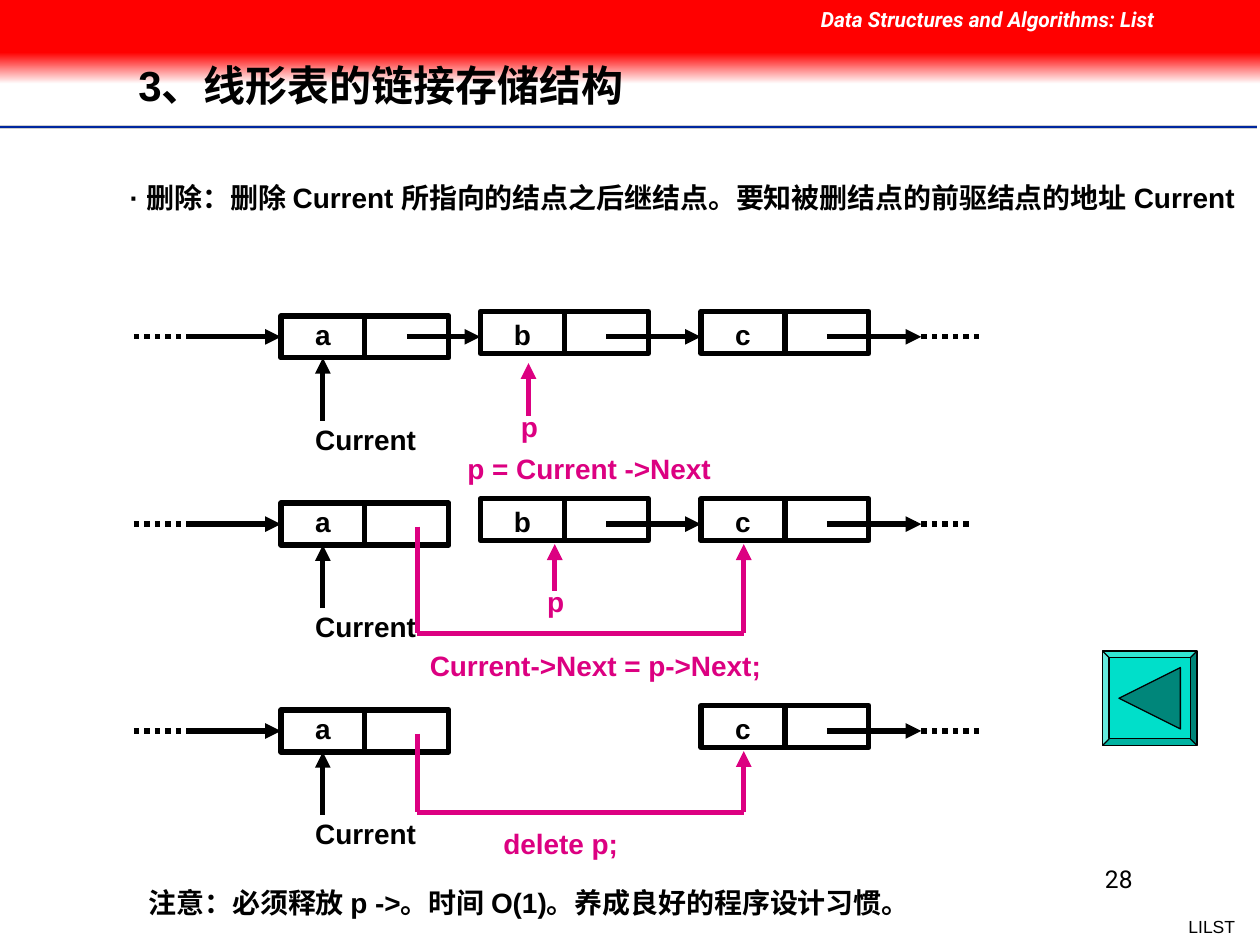
from pptx import Presentation
from pptx.dml.color import RGBColor as Rgb
from pptx.enum.dml import MSO_LINE as Dash
from pptx.enum.shapes import MSO_CONNECTOR as Conn, MSO_SHAPE as Geo
from pptx.enum.text import MSO_ANCHOR as Anchor, PP_ALIGN as Align
from pptx.oxml.ns import qn
from pptx.util import Pt
from lxml.etree import SubElement as Sub

HUES = {
    "black": "000000", "white": "FFFFFF", "red": "FF0000", "blue": "00279F",
    "gray": "CECECE", "pink": "DC0081", "teal": "00DFCA", "deep": "00867A",
}
NODE_W, NODE_H, CELL = 96, 24, 48
NODES = {"a": (84, 2.5), "b": (198, 0), "c": (324, 0)}
MID = 14.5


def hue(name):
    return Rgb.from_string(HUES[name])


def text(slide, words, x, y, w, h=26.6, size=16, color="black", font="Arial",
         bold=True, slant=False, align=Align.LEFT, anchor=Anchor.TOP,
         wrap=True, indent=0, margin=0, pitch=None):
    frame = slide.shapes.add_textbox(Pt(x), Pt(y), Pt(w), Pt(h)).text_frame
    frame.word_wrap = wrap
    frame.vertical_anchor = anchor
    para = frame.paragraphs[0]
    para.alignment = align
    para.line_spacing = pitch
    if indent or margin:
        props = para._p.get_or_add_pPr()
        props.set("marL", str(Pt(margin)))
        props.set("indent", str(Pt(indent)))
    run = para.add_run()
    run.text = words
    face = run.font
    face.name, face.size, face.bold, face.italic = font, Pt(size), bold, slant
    face.color.rgb = hue(color)


def line(slide, x1, y1, x2, y2, color="black", width=3, tip=False, dots=False):
    link = slide.shapes.add_connector(Conn.STRAIGHT, Pt(x1), Pt(y1), Pt(x2), Pt(y2))
    link.line.color.rgb = hue(color)
    link.line.width = Pt(width)
    if dots:
        link.line.dash_style = Dash.ROUND_DOT
    if tip:
        Sub(link.line._get_or_add_ln(), qn("a:tailEnd"), type="triangle")
    Sub(link._element.spPr, qn("a:effectLst"))
    return link


def block(slide, geo, x, y, w, h, fill, edge=None, width=3):
    item = slide.shapes.add_shape(geo, Pt(x), Pt(y), Pt(w), Pt(h))
    item.shadow.inherit = False
    item.fill.solid()
    item.fill.fore_color.rgb = hue(fill)
    if edge:
        item.line.color.rgb = hue(edge)
        item.line.width = Pt(width)
    else:
        item.line.fill.background()
    return item


def header(slide, x, y, w):
    for drop, color, width in ((72.7, "gray", 2), (72.7, "blue", 1), (74.2, "white", 1)):
        line(slide, x, y + drop, x + w - 1.5, y + drop, color, width)
    fade = block(slide, Geo.RECTANGLE, x, y + 30, w, 18, "red").fill
    fade.gradient()
    fade.gradient_angle = 270
    for stop, color in zip(fade.gradient_stops, ("red", "white")):
        stop.color.rgb = hue(color)
    block(slide, Geo.RECTANGLE, x, y, w, 30, "red")
    text(slide, "Data Structures and Algorithms: List", x + 462, y, 258, 21.6,
         size=12, color="white", font="Roboto", slant=True)
    text(slide, "3、线形表的链接存储结构", x + 72, y + 24, 544, 53,
         size=24, anchor=Anchor.MIDDLE, pitch=0.9)


def node(slide, name, x, y):
    left, drop = NODES[name]
    box = block(slide, Geo.RECTANGLE, x + left, y + drop, NODE_W, NODE_H, "white", "black")
    split = line(slide, x + left + CELL, y + drop, x + left + CELL, y + drop + NODE_H)
    split.begin_connect(box, 0)
    split.end_connect(box, 2)
    text(slide, name, x + left, y, CELL, align=Align.CENTER)
    return box


def chain(slide, x, y, names, links, note, note_x, note_y, dots=450, p=None, bend=None):
    boxes = {name: node(slide, name, x, y) for name in names}
    mid = y + MID
    line(slide, x, mid, x + 30, mid, dots=True)
    line(slide, x + 30, mid, x + 84, mid, tip=True).end_connect(boxes["a"], 1)
    ends = {"a": NODES["b"][0], "b": NODES["c"][0], "c": 450}
    for name in links:
        line(slide, x + NODES[name][0] + 72, mid, x + ends[name], mid, tip=True)
    line(slide, x + dots, mid, x + dots + 36, mid, dots=True)

    line(slide, x + 108, y + 62.5, x + 108, y + 26.5, tip=True)
    text(slide, "Current", x + 96.5, y + 60, 90)
    if p:
        px, low, high = p
        line(slide, x + px, y + low, x + px, y + high, "pink", tip=True)
        text(slide, "p", x + px - 11.5, y + low - 7, 26, color="pink")
    if bend:
        line(slide, x + 162, y + 16, x + 162, y + bend, "pink")
        line(slide, x + 162, y + bend, x + 348.5, y + bend, "pink")
        line(slide, x + 348.5, y + bend, x + 348.5, y + 26, "pink", tip=True)
    text(slide, note, x + note_x, y + note_y, 240, color="pink")


def button(slide, x, y, size):
    frame = block(slide, Geo.BEVEL, x, y, size, size, "teal", "black", 0.75)
    frame.adjustments[0] = 0.07
    part = size * 0.65
    gap = (size - part) / 2
    mark = block(slide, Geo.ISOSCELES_TRIANGLE, x + gap, y + gap, part, part,
                 "deep", "black", 0.75)
    mark.rotation = 270


def footer(slide, x, y):
    text(slide, "注意：必须释放 p ->。时间 O(1)。养成良好的程序设计习惯。", x + 77.8, y + 12.2, 480)
    text(slide, "28", x + 516.3, y, 138, 36, size=14, font="Roboto",
         bold=False, align=Align.RIGHT)
    text(slide, "LILST", x + 671.8, y + 29.5, 41, 19.4, size=10, bold=False,
         align=Align.RIGHT, wrap=False)


def main():
    deck = Presentation()
    deck.slide_width, deck.slide_height = Pt(720), Pt(540)
    slide = deck.slides.add_slide(deck.slide_layouts[6])
    header(slide, 0, 0, 720)
    text(slide, "· 删除：删除 Current 所指向的结点之后继结点。要知被删结点的前驱结点的地址 Current",
         0, 99.4, 720, 46, margin=36, indent=31)
    chain(slide, 76.5, 178, "abc", "abc", "p = Current ->Next", 183.5, 76.3,
          p=(225.5, 59.5, 29.5))
    chain(slide, 76.5, 285, "abc", "bc", "Current->Next = p->Next;", 162, 82,
          dots=444, p=(240.5, 52.5, 26), bend=77)
    chain(slide, 76.5, 403.2, "ac", "c", "delete p;", 204, 65.5, bend=61)
    button(slide, 630, 372, 54)
    footer(slide, 0, 490.3)
    deck.save("out.pptx")


if __name__ == "__main__":
    main()
